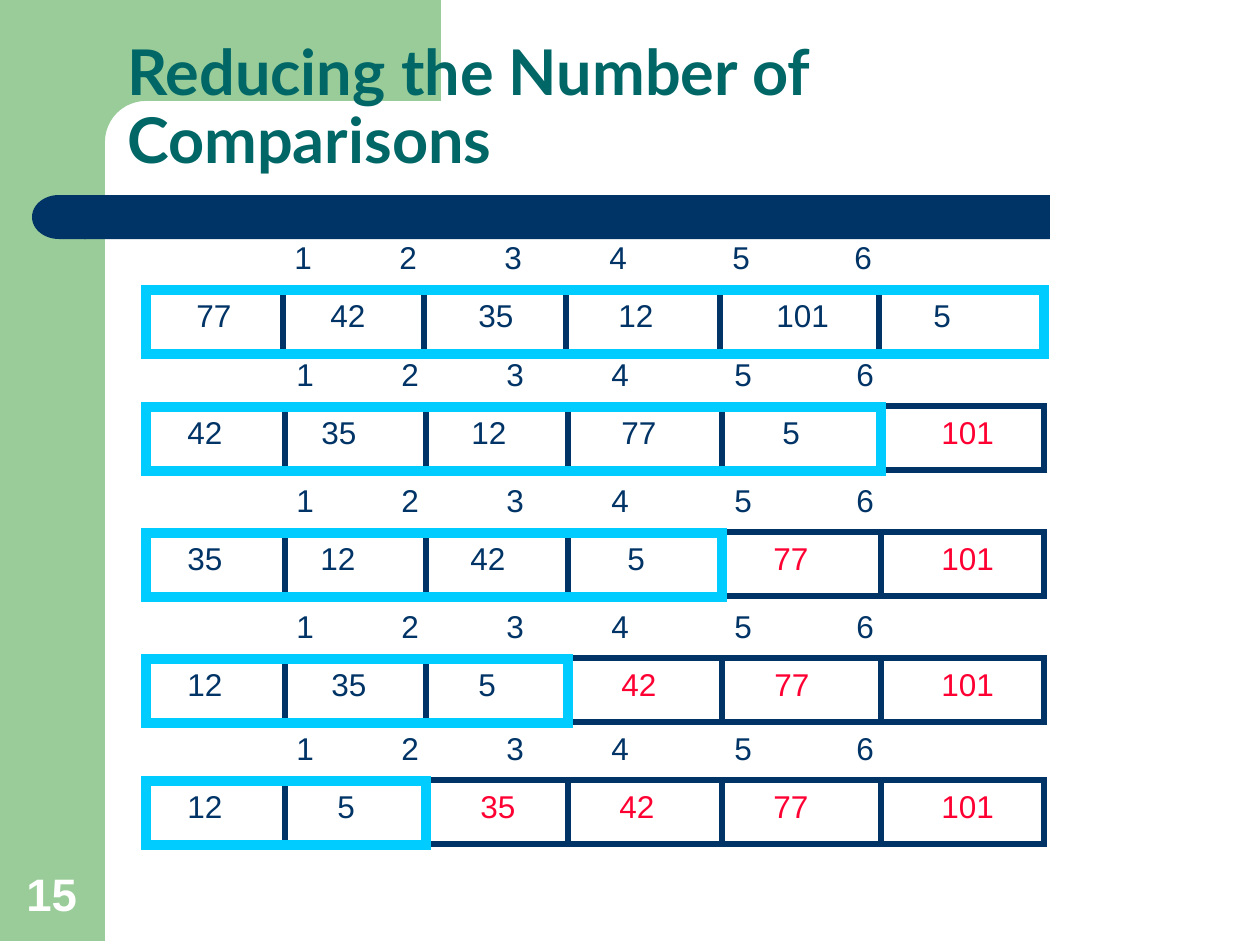
import math

import pptx
import pptx.dml.color
import pptx.enum.shapes
import pptx.enum.text
import pptx.oxml.ns
import pptx.util
from lxml import etree

RGBColor = pptx.dml.color.RGBColor
Shape = pptx.enum.shapes.MSO_SHAPE
Anchor = pptx.enum.text.MSO_ANCHOR

GREEN = RGBColor(0x99, 0xCC, 0x99)
NAVY = RGBColor(0x00, 0x33, 0x66)
TEAL = RGBColor(0x00, 0x66, 0x66)
CYAN = RGBColor(0x00, 0xCC, 0xFF)
RED = RGBColor(0xFF, 0x00, 0x33)
WHITE = RGBColor(0xFF, 0xFF, 0xFF)

PX_PER_INCH = 126
ROW_LEFT, ROW_RIGHT, ROW_HEIGHT = 146, 1044, 64
DIVIDERS = [285, 426, 568, 722, 881]
INDEX_TABS = [105, 210, 315, 438, 560]

# Each pass: top, and the values with the left edge of their boxes
PASSES = [
    (289, [("77", 184), ("42", 318), ("35", 466), ("12", 606), ("101", 764), ("5", 921)]),
    (406, [("42", 175), ("35", 309), ("12", 459), ("77", 609), ("5", 770), ("101", 929)]),
    (532, [("35", 175), ("12", 308), ("42", 458), ("5", 615), ("77", 761), ("101", 929)]),
    (658, [("12", 175), ("35", 319), ("5", 466), ("42", 609), ("77", 762), ("101", 929)]),
    (780, [("12", 175), ("5", 325), ("35", 468), ("42", 607), ("77", 761), ("101", 929)]),
]


def px(length):
    return pptx.util.Emu(round(length * 914400 / PX_PER_INCH))


def add_filled(shapes, kind, left, top, width, height, color):
    shape = shapes.add_shape(kind, px(left), px(top), px(width), px(height))
    shape.shadow.inherit = False
    shape.fill.solid()
    shape.fill.fore_color.rgb = color
    shape.line.fill.background()
    return shape


def add_frame(shapes, left, top, width, color, weight):
    frame = shapes.add_shape(Shape.RECTANGLE, px(left), px(top), px(width), px(ROW_HEIGHT))
    frame.shadow.inherit = False
    frame.fill.background()
    frame.line.color.rgb = color
    frame.line.width = pptx.util.Pt(weight)
    # Square corners
    outline = frame._element.spPr.find(pptx.oxml.ns.qn("a:ln"))
    etree.SubElement(outline, pptx.oxml.ns.qn("a:miter"), lim="800000")


def add_divider(shapes, x, top):
    line = shapes.add_connector(pptx.enum.shapes.MSO_CONNECTOR.STRAIGHT,
                                px(x), px(top), px(x), px(top + ROW_HEIGHT))
    line.line.color.rgb = NAVY
    line.line.width = pptx.util.Pt(3)
    etree.SubElement(line._element.spPr, pptx.oxml.ns.qn("a:effectLst"))


def add_text(shapes, text, left, top, width, height, color,
             size=18, font="Arial", bold=False, anchor=Anchor.TOP):
    box = shapes.add_textbox(px(left), px(top), px(width), px(height))
    frame = box.text_frame
    frame.word_wrap = True
    frame.vertical_anchor = anchor
    frame.text = text
    span = frame.paragraphs[0].runs[0]
    span.font.name = font
    span.font.size = pptx.util.Pt(size)
    span.font.bold = bold
    span.font.color.rgb = color
    return frame.paragraphs[0]


def add_index_labels(shapes, left, top):
    para = add_text(shapes, "\t".join("123456"), left, top, 610, 50, NAVY)
    tab_list = etree.SubElement(para._p.get_or_add_pPr(), pptx.oxml.ns.qn("a:tabLst"))
    for position in INDEX_TABS:
        etree.SubElement(tab_list, pptx.oxml.ns.qn("a:tab"), pos=str(px(position)), algn="l")


def add_pass(page, number, top, values):
    shapes = page.shapes.add_group_shape().shapes
    shift = -2 if number == 0 else 0
    unsorted_count = len(values) - number

    add_frame(shapes, ROW_LEFT, top, ROW_RIGHT - ROW_LEFT, NAVY, 3)
    for x in DIVIDERS:
        add_divider(shapes, x + shift, top)
    for position, (value, left) in enumerate(values):
        color = NAVY if position < unsorted_count else RED
        add_text(shapes, value, left, top + 1, 32 + 18 * len(value), 50, color)
    add_index_labels(shapes, 284 + shift, top - 57)

    # Part still to be sorted
    right = (DIVIDERS + [ROW_RIGHT])[unsorted_count - 1]
    add_frame(shapes, ROW_LEFT, top + 1, right - ROW_LEFT, CYAN, 6)


def add_background(page):
    add_filled(page.shapes, Shape.RECTANGLE, 0, -4, 105, 945, GREEN)

    # Top band with a rounded inner corner
    arc = [(146 - 41 * math.sin(angle), 142 - 41 * math.cos(angle))
           for angle in (math.pi / 2 * step / 12 for step in range(13))]
    outline = [(441, 101), *arc, (105, 158), (63, 158), (63, -4)]
    builder = page.shapes.build_freeform(px(441), px(-4))
    builder.add_line_segments([(px(x), px(y)) for x, y in outline], close=True)
    band = builder.convert_to_shape()
    band.shadow.inherit = False
    band.fill.solid()
    band.fill.fore_color.rgb = GREEN
    band.line.fill.background()

    # Bar under the title
    bar = add_filled(page.shapes, Shape.ROUNDED_RECTANGLE, 84, 195, 966, 44, NAVY)
    bar.adjustments[0] = 0
    cap = add_filled(page.shapes, Shape.FLOWCHART_DELAY, 32, 195, 54, 44, NAVY)
    cap._element.spPr.xfrm.set("flipH", "1")


def main():
    deck = pptx.Presentation()
    deck.slide_width, deck.slide_height = px(1260), px(945)
    page = deck.slides.add_slide(deck.slide_layouts[6])

    add_background(page)
    title = add_text(page.shapes, "Reducing the Number of Comparisons", 115, 46, 1072, 137,
                     TEAL, size=36, font="Lato", bold=True, anchor=Anchor.BOTTOM)
    title.line_spacing = 0.9
    for number, (top, values) in enumerate(PASSES):
        add_pass(page, number, top, values)
    add_text(page.shapes, "15", 14, 860, 81, 67, WHITE, size=26, bold=True, anchor=Anchor.BOTTOM)

    deck.save("out.pptx")


if __name__ == "__main__":
    main()
